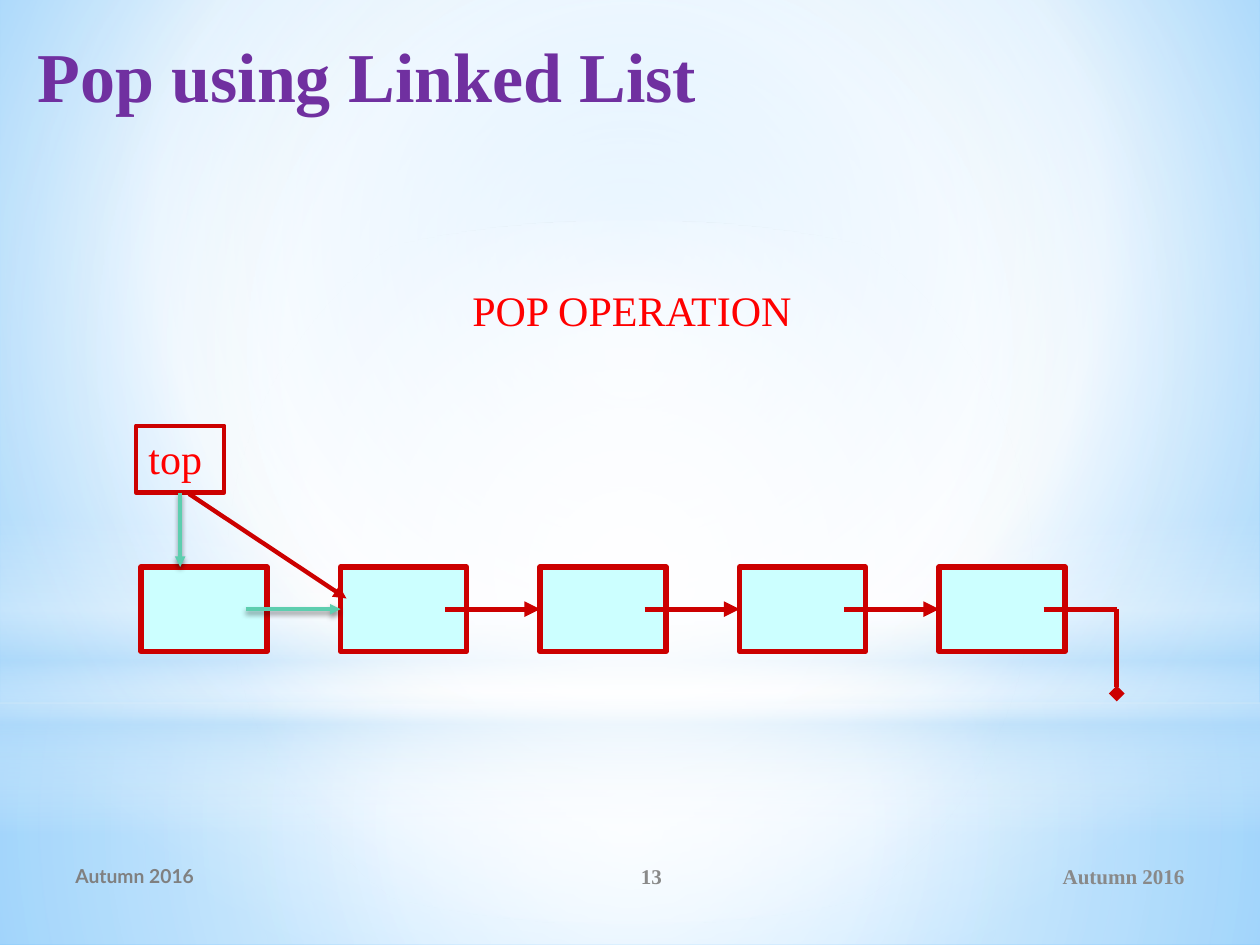
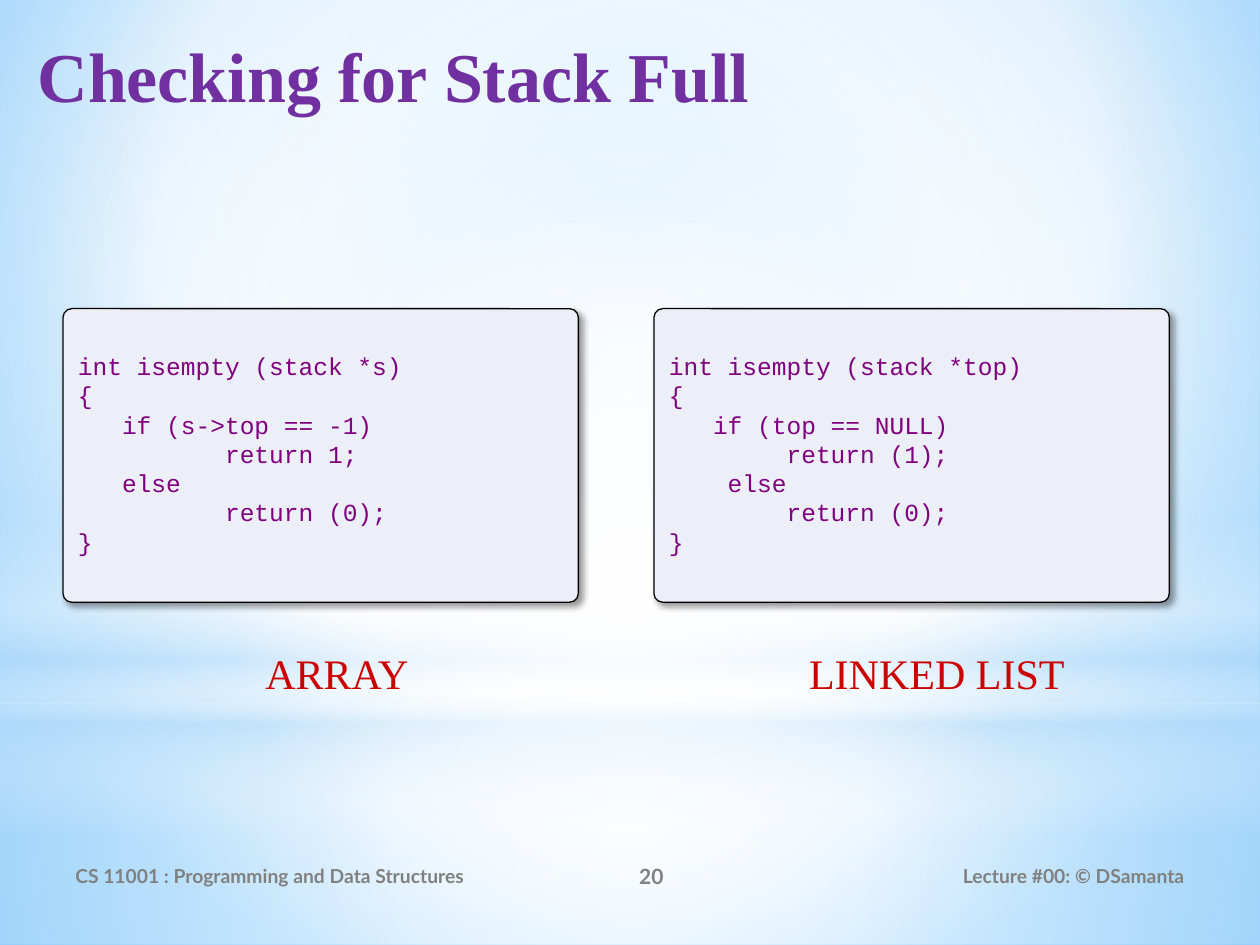
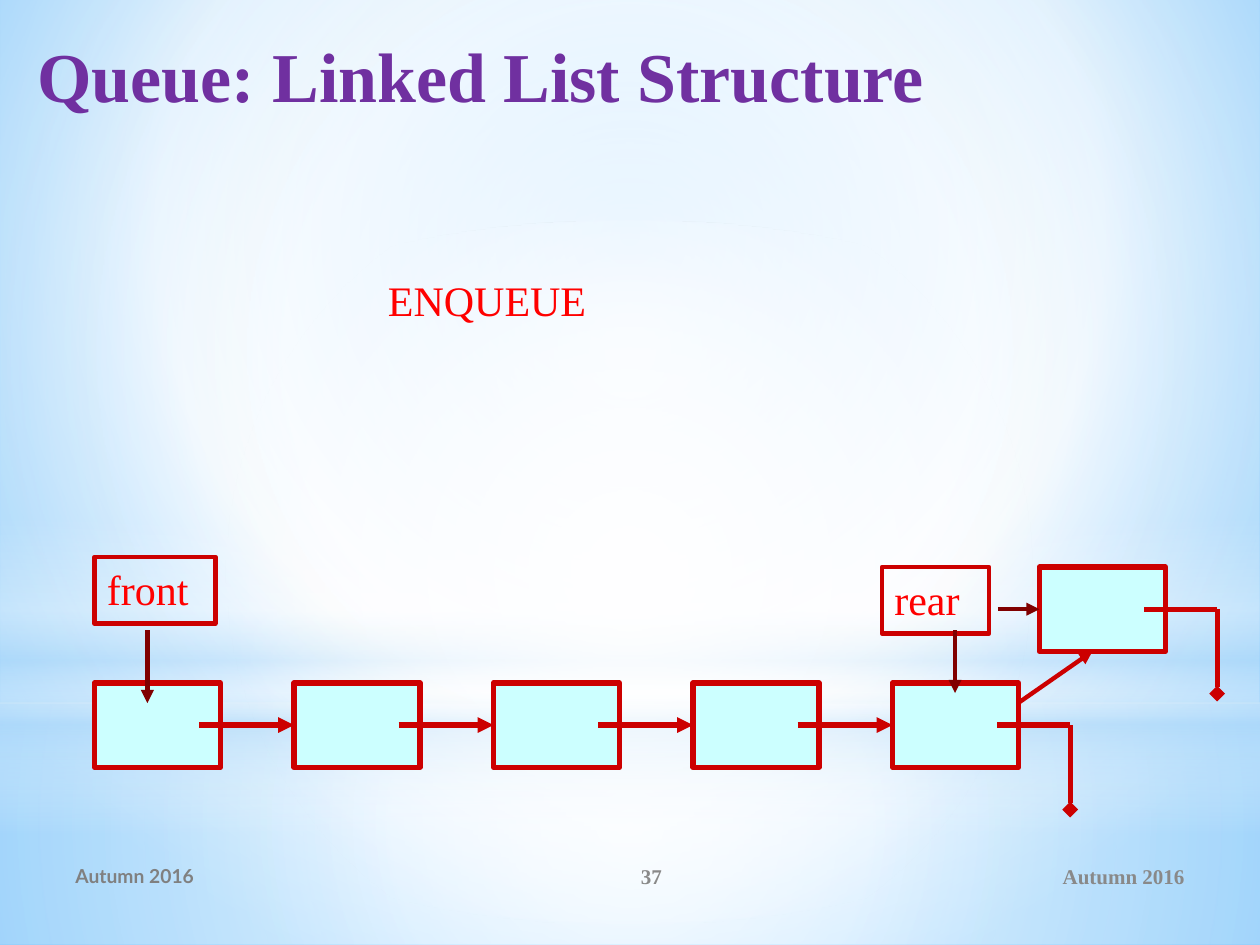
import pptx
import pptx.dml.color
import pptx.enum.shapes
import pptx.enum.text
import pptx.oxml
import pptx.oxml.ns
import pptx.util

Inches = pptx.util.Inches
Pt = pptx.util.Pt
RGBColor = pptx.dml.color.RGBColor
SHAPE = pptx.enum.shapes.MSO_SHAPE
ALIGN = pptx.enum.text.PP_ALIGN
ANCHOR = pptx.enum.text.MSO_ANCHOR
AUTO_SIZE = pptx.enum.text.MSO_AUTO_SIZE
qn = pptx.oxml.ns.qn
NAMESPACE = pptx.oxml.ns.nsdecls("a")

PURPLE = RGBColor(0x70, 0x30, 0xA0)
CODE_PURPLE = RGBColor(0x80, 0x00, 0x80)
CODE_FILL = RGBColor(0xEC, 0xEF, 0xF8)
BLACK = RGBColor(0x00, 0x00, 0x00)
BRIGHT_RED = RGBColor(0xFF, 0x00, 0x00)
RED = RGBColor(0xCC, 0x00, 0x00)
MAROON = RGBColor(0x80, 0x00, 0x00)
CYAN = RGBColor(0xCC, 0xFF, 0xFF)
GREEN = RGBColor(0x5D, 0xCE, 0xAF)
FOOTER_GRAY = RGBColor(0x80, 0x80, 0x80)
DATE_GRAY = RGBColor(0x89, 0x89, 0x89)
WHITE = RGBColor(0xFF, 0xFF, 0xFF)
PALE_BLUE = RGBColor(0xB4, 0xDC, 0xFA)
SKY_BLUE = RGBColor(0x9E, 0xD5, 0xFF)
DEEP_BLUE = RGBColor(0x5B, 0xB9, 0xFF)

SERIF = "Times New Roman"
SANS = "Lato"
MONO = "Courier New"

NODE_WIDTH = 1
NODE_HEIGHT = 0.67
NODE_PITCH = 19 / 12
LINK_INSET = 0.83


def add_text(slide, text, box, size=24, font=SERIF, color=BRIGHT_RED, bold=False,
             align=ALIGN.LEFT, anchor=ANCHOR.TOP, wrap=True, grow=False,
             preset=None, fill=None, outline=None, outline_width=2.5,
             line_spacing=None, space_before=0):
    position = [Inches(value) for value in box]
    if preset is None:
        shape = slide.shapes.add_textbox(*position)
    else:
        shape = slide.shapes.add_shape(preset, *position)
        shape.shadow.inherit = False
        shape.line.color.rgb = outline
        shape.line.width = Pt(outline_width)
        if fill is None:
            shape.fill.background()
        else:
            shape.fill.solid()
            shape.fill.fore_color.rgb = fill
    frame = shape.text_frame
    frame.word_wrap = wrap
    frame.auto_size = AUTO_SIZE.SHAPE_TO_FIT_TEXT if grow else AUTO_SIZE.NONE
    frame.vertical_anchor = anchor
    for index, line in enumerate(text.split("\n")):
        paragraph = frame.add_paragraph() if index else frame.paragraphs[0]
        paragraph.alignment = align
        if line_spacing:
            paragraph.line_spacing = line_spacing
        if index and space_before:
            paragraph.space_before = Pt(space_before)
        run = paragraph.add_run()
        run.text = line
        run.font.name = font
        run.font.size = Pt(size)
        run.font.bold = bold
        run.font.color.rgb = color
    return shape


def add_line(slide, start, end, color=RED, width=3, tail="triangle", source=None, target=None):
    connector = slide.shapes.add_connector(
        pptx.enum.shapes.MSO_CONNECTOR.STRAIGHT, *[Inches(value) for value in start + end])
    if source:
        connector.begin_connect(*source)
    if target:
        connector.end_connect(*target)
    connector.line.color.rgb = color
    connector.line.width = Pt(width)
    if tail:
        outline = connector.element.spPr.find(qn("a:ln"))
        outline.append(pptx.oxml.parse_xml(f'<a:tailEnd {NAMESPACE} type="{tail}"/>'))
    connector.element.spPr.append(pptx.oxml.parse_xml(f"<a:effectLst {NAMESPACE}/>"))
    return connector


presentation = pptx.Presentation()
presentation.slide_width = Inches(10)
presentation.slide_height = Inches(7.5)
blank_layout = presentation.slide_layouts[6]
pop_slide, full_slide, queue_slide = [presentation.slides.add_slide(blank_layout) for _ in range(3)]

master = presentation.slide_master
master.background.fill.solid()
background = master.element.xpath("./p:cSld/p:bg/p:bgPr")[0]
gradients = [
    (background, [(0, SKY_BLUE, 100), (60, WHITE, 100), (100, DEEP_BLUE, 100)], (20, 10, 20, 60)),
]
CENTER = (50, 50, 50, 50)
bands = [
    (SHAPE.RECTANGLE, 5.58, 1.92, [(0, WHITE, 91), (37, WHITE, 76), (100, PALE_BLUE, 79)], CENTER),
    (SHAPE.RECTANGLE, 0, 5.58, [(0, WHITE, 89), (48, WHITE, 62), (100, PALE_BLUE, 79)], CENTER),
    (SHAPE.RECTANGLE, 4.12, 2.5, [(0, WHITE, 0), (29, WHITE, 30), (45, PALE_BLUE, 40),
                                  (55, WHITE, 26), (65, PALE_BLUE, 60), (100, WHITE, 0)], None),
    (SHAPE.OVAL, 1.75, 5.58, [(0, WHITE, 100), (56, WHITE, 0)], CENTER),
]
for preset, top, height, stops, focus in bands:
    band = pop_slide.shapes.add_shape(preset, 0, Inches(top), Inches(10), Inches(height))
    band.shadow.inherit = False
    band.line.fill.background()
    band.fill.solid()
    blank_layout.shapes.element.append(band.element)
    gradients.append((band.element.spPr, stops, focus))

for holder, stops, focus in gradients:
    stop_xml = "".join(
        f'<a:gs pos="{position * 1000}"><a:srgbClr val="{color}">'
        f'<a:alpha val="{opacity * 1000}"/></a:srgbClr></a:gs>'
        for position, color, opacity in stops)
    if focus:
        edges = " ".join(f'{side}="{value * 1000}"' for side, value in zip("ltrb", focus))
        direction = f'<a:path path="circle"><a:fillToRect {edges}/></a:path>'
    else:
        direction = '<a:lin ang="5400000" scaled="0"/>'
    gradient = pptx.oxml.parse_xml(
        f'<a:gradFill {NAMESPACE} rotWithShape="1"><a:gsLst>{stop_xml}</a:gsLst>{direction}</a:gradFill>')
    holder.replace(holder.find(qn("a:solidFill")), gradient)

season_style = dict(size=12, font=SERIF, color=DATE_GRAY)
course_style = dict(size=11, font=SANS, color=FOOTER_GRAY)
number_style = dict(size=12, font=SANS, color=FOOTER_GRAY)
pages = [
    (pop_slide, "Pop using Linked List", "Autumn 2016", "13", "Autumn 2016", season_style, season_style),
    (full_slide, "Checking for Stack Full", "CS 11001 : Programming and Data Structures", "20",
     "Lecture #00: © DSamanta", number_style, course_style),
    (queue_slide, "Queue: Linked List Structure", "Autumn 2016", "37", "Autumn 2016",
     season_style, season_style),
]
for slide, title, left_footer, number, right_footer, middle_style, right_style in pages:
    add_text(slide, title, (0.2, 0.21, 9.53, 1.25), size=40, color=PURPLE, bold=True)
    footers = [
        (left_footer, 0.5, 3.67, ALIGN.LEFT, course_style),
        (number, 4.17, 2, ALIGN.CENTER, middle_style),
        (right_footer, 6.75, 2.75, ALIGN.RIGHT, right_style),
    ]
    for text, left, width, align, style in footers:
        add_text(slide, text, (left, 6.75, width, 0.4), bold=True, align=align,
                 anchor=ANCHOR.MIDDLE, **style)

shadows = []
chains = []
for slide, first_left, top, count in [(pop_slide, 1.12, 4.5, 5), (queue_slide, 0.75, 5.42, 5),
                                      (queue_slide, 8.25, 4.5, 1)]:
    lefts = [first_left + index * NODE_PITCH for index in range(count)]
    middle = top + NODE_HEIGHT / 2
    nodes = []
    for left in lefts:
        node = slide.shapes.add_shape(SHAPE.RECTANGLE, Inches(left), Inches(top),
                                      Inches(NODE_WIDTH), Inches(NODE_HEIGHT))
        node.shadow.inherit = False
        node.fill.solid()
        node.fill.fore_color.rgb = CYAN
        node.line.color.rgb = RED
        node.line.width = Pt(3)
        nodes.append(node)
    for index in range(count - 1):
        removed = slide is pop_slide and index == 0
        link = add_line(slide, (lefts[index] + LINK_INSET, middle), (lefts[index + 1], middle),
                        color=GREEN if removed else RED, width=2 if removed else 3,
                        target=(nodes[index + 1], 1))
        if removed:
            shadows.append((link, 45, 3.1, 1.8, 90))
    corner = lefts[-1] + LINK_INSET + 0.58
    add_line(slide, (lefts[-1] + LINK_INSET, middle), (corner, middle), tail=None)
    add_line(slide, (corner, middle), (corner, middle + 0.67), tail="diamond")
    chains.append(nodes)

pointers = {}
for slide, name, left, top, width in [(pop_slide, "top", 1.08, 3.38, 0.7),
                                      (queue_slide, "front", 0.75, 4.42, 0.96),
                                      (queue_slide, "rear", 7, 4.5, 0.85)]:
    pointers[name] = add_text(slide, name, (left, top, width, 0.53), wrap=False, grow=True,
                              preset=SHAPE.RECTANGLE, outline=RED)

old_top_arrow = add_line(pop_slide, (1.43, 3.91), (1.43, 4.5), color=GREEN, width=2,
                         source=(pointers["top"], 2))
shadows.append((old_top_arrow, 45, 3.1, 1.8, 90))
add_line(pop_slide, (1.5, 3.92), (2.75, 4.75), width=2.5)

new_node = chains[2][0]
add_line(queue_slide, (1.17, 5), (1.17, 5.58), color=MAROON, width=2.5)
add_line(queue_slide, (7.58, 5), (7.58, 5.5), color=MAROON, width=2.5)
add_line(queue_slide, (8.08, 5.58), (8.67, 5.17), width=2.5)
add_line(queue_slide, (7.92, 4.5 + NODE_HEIGHT / 2), (8.25, 4.5 + NODE_HEIGHT / 2),
         color=MAROON, width=2.5, target=(new_node, 1))

add_text(pop_slide, "POP OPERATION", (3.65, 2.21, 2.97, 0.5), wrap=False, grow=True)
add_text(queue_slide, "ENQUEUE", (2.98, 2.13, 1.85, 0.5), wrap=False, grow=True)

ARRAY_CODE = """int isempty (stack *s)
{
   if (s->top == -1)
          return 1;
   else
          return (0);
}"""
LIST_CODE = """int isempty (stack *top)
{
   if (top == NULL)
        return (1);
    else
        return (0);
}"""
for code, left, caption, caption_left, caption_width in [
        (ARRAY_CODE, 0.5, "ARRAY", 1.76, 1.83), (LIST_CODE, 5.19, "LINKED LIST", 6.17, 2.53)]:
    panel = add_text(full_slide, code, (left, 2.45, 4.09, 2.33), size=14, font=MONO,
                     color=CODE_PURPLE, anchor=ANCHOR.MIDDLE, preset=SHAPE.ROUNDED_RECTANGLE,
                     fill=CODE_FILL, outline=BLACK, outline_width=0.75,
                     line_spacing=0.9, space_before=1.6)
    panel.adjustments[0] = 0.03
    shadows.append((panel, 40, 4, 3, 45))
    add_text(full_slide, caption, (caption_left, 5.09, caption_width, 0.5), color=RED,
             align=ALIGN.CENTER, grow=True)

for shape, opacity, blur, distance, angle in shadows:
    effects = shape.element.spPr.find(qn("a:effectLst"))
    effects.append(pptx.oxml.parse_xml(
        f'<a:outerShdw {NAMESPACE} blurRad="{Pt(blur)}" dist="{Pt(distance)}" dir="{angle * 60000}" '
        f'algn="ctr" rotWithShape="0"><a:srgbClr val="{BLACK}"><a:alpha val="{opacity * 1000}"/>'
        f'</a:srgbClr></a:outerShdw>'))

presentation.save("out.pptx")
